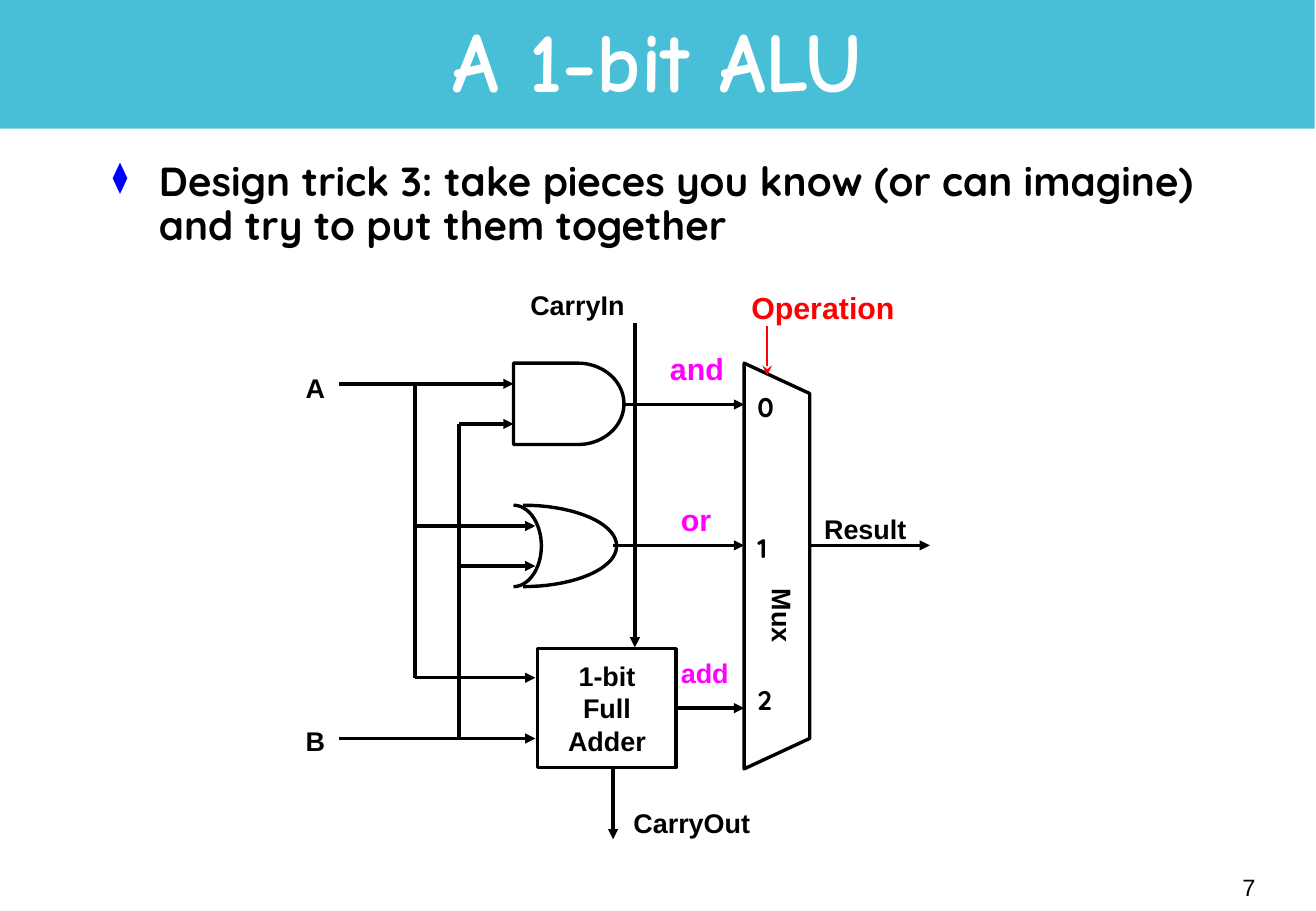
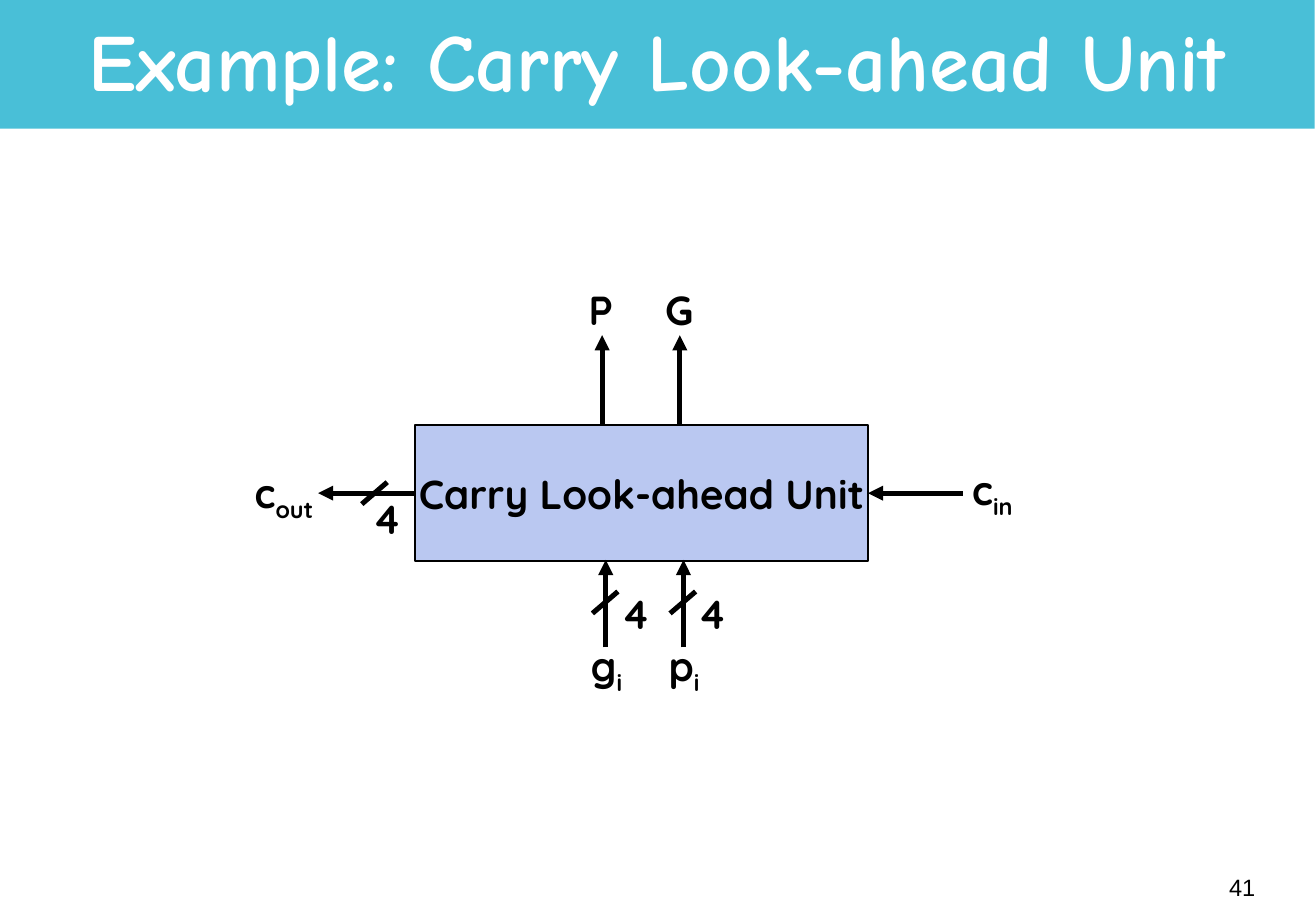
import math

from lxml import etree
from pptx import Presentation
from pptx.dml.color import RGBColor
from pptx.enum import shapes, text
from pptx.oxml import ns
from pptx.util import Pt

PX = 9144  # one px is a hundredth of an inch
BLACK, WHITE, BAND, BLUE = "000000", "FFFFFF", "49BFD7", "0000FF"
UNIT_FILL, MAGENTA, RED = "BAC8F1", "FF00FF", "FF0000"
TITLE_FONT, BODY_FONT, LABEL_FONT = "Comic Neue", "Quicksand", "Arial"
LEFT, CENTER, RIGHT = text.PP_ALIGN.LEFT, text.PP_ALIGN.CENTER, text.PP_ALIGN.RIGHT
color = RGBColor.from_string


def add_box(slide, box, lines=(), size=16, font=LABEL_FONT, ink=BLACK, bold=True,
            align=LEFT, wrap=False, middle=False, subscript="", fill=None, outline=0):
    """Add a text box, or a rectangle when it has a fill or an outline."""
    place = [length * PX for length in box]
    if fill or outline:
        shape = slide.shapes.add_shape(shapes.MSO_SHAPE.RECTANGLE, *place)
        shape.shadow.inherit = False
        shape.fill.background()
        if fill:
            shape.fill.solid()
            shape.fill.fore_color.rgb = color(fill)
        shape.line.fill.background()
        if outline:
            shape.line.color.rgb = color(BLACK)
            shape.line.width = Pt(outline)
    else:
        shape = slide.shapes.add_textbox(*place)
    frame = shape.text_frame
    frame.word_wrap = wrap
    if middle:
        frame.vertical_anchor = text.MSO_ANCHOR.MIDDLE
    elif not wrap:
        frame.auto_size = text.MSO_AUTO_SIZE.SHAPE_TO_FIT_TEXT
    for index, line in enumerate(lines):
        paragraph = frame.add_paragraph() if index else frame.paragraphs[0]
        paragraph.alignment = align
        for words in filter(None, (line, subscript)):
            run = paragraph.add_run()
            run.text = words
            run.font.size, run.font.name, run.font.bold = Pt(size), font, bold
            run.font.color.rgb = color(ink)
        if subscript:
            run._r.get_or_add_rPr().set("baseline", "-25000")
    return shape


def add_line(slide, points, width=2, ink=BLACK, head="triangle"):
    """Add a straight line with its arrowhead, if any, at the last point."""
    connector = slide.shapes.add_connector(
        shapes.MSO_CONNECTOR.STRAIGHT, *[length * PX for length in points])
    connector.line.color.rgb = color(ink)
    connector.line.width = Pt(width)
    if head:
        etree.SubElement(connector.line._get_or_add_ln(), ns.qn("a:tailEnd"), type=head)
    etree.SubElement(connector._element.spPr, ns.qn("a:effectLst"))
    return connector


presentation = Presentation()
presentation.slide_width, presentation.slide_height = 1084 * PX, 750 * PX

# Title band and page number of each slide
for title, left, width, size, number in (
        ("A 1-bit ALU", 81, 921, 50, "7"),
        ("Example: Carry Look-ahead Unit", 0, 1083, 48, "41")):
    slide = presentation.slides.add_slide(presentation.slide_layouts[6])
    add_box(slide, (0, 0, 1083, 106), fill=BAND)
    heading = add_box(slide, (left, 5, width, 99), [title], size, TITLE_FONT, WHITE,
                      align=CENTER, wrap=True, middle=True)
    heading.text_frame.paragraphs[0].line_spacing = 0.85
    add_box(slide, (818, 705, 226, 50), [number], 14, bold=False,
            align=RIGHT, wrap=True, middle=True)
alu_slide, carry_slide = presentation.slides

# 1-bit ALU: bullet
body = add_box(alu_slide, (83, 128, 921, 100),
               ["Design trick 3: take pieces you know (or can imagine) "
                "and try to put them together"], 24, BODY_FONT, wrap=True)
bullet = body.text_frame.paragraphs[0]
bullet.line_spacing = 0.9
properties = bullet._p.get_or_add_pPr()
properties.set("marL", str(38 * PX))
properties.set("indent", str(-38 * PX))
bullet_color = etree.SubElement(properties, ns.qn("a:buClr"))
etree.SubElement(bullet_color, ns.qn("a:srgbClr"), val=BLUE)
etree.SubElement(properties, ns.qn("a:buSzPct"), val="75000")
etree.SubElement(properties, ns.qn("a:buChar"), char="⧫")

# Gates and multiplexer
half_circle = [(math.sin(math.radians(angle)), -math.cos(math.radians(angle)))
               for angle in range(0, 181, 5)]
and_arc, or_front, or_back = (
    [(x + radius * across, y + 33.5 * down) for across, down in half_circle]
    for x, y, radius in ((476, 332.5, 38), (431, 449.5, 77), (423, 449.5, 23)))
and_gate = [(423, 299), *and_arc, (423, 366)]
mux = [(613, 299), (667, 324), (667, 608), (613, 633)]
for outline, closed in ((and_gate, True), (or_front, False), (or_back, False), (mux, True)):
    corners = [(x * PX, y * PX) for x, y in outline]
    builder = alu_slide.shapes.build_freeform(*corners[0])
    builder.add_line_segments(corners[1:], close=closed)
    shape = builder.convert_to_shape()
    shape.shadow.inherit = False
    shape.fill.background()
    shape.line.color.rgb = color(BLACK)
    shape.line.width = Pt(2)

adder = add_box(alu_slide, (443, 534, 114, 98), ["1-bit", "Full", "Adder"],
                align=CENTER, middle=True, outline=2)

# Wires
for wire in (
        (279, 316, 423, 316), (378, 349, 423, 349),  # into the and gate
        (342, 433, 441, 433), (378, 466, 441, 466),  # into the or gate
        (342, 558, 441, 558), (279, 608, 441, 608),  # into the adder
        (514, 333, 613, 333), (505, 449, 613, 449),  # into the multiplexer
        (523, 266, 523, 533), (505, 633, 505, 691),  # carry in and out
        (667, 449, 766, 449)):  # result
    add_line(alu_slide, wire)
add_line(alu_slide, (557, 583, 613, 583)).begin_connect(adder, 3)
for branch in ((342, 316, 342, 558), (378, 349, 378, 608)):
    add_line(alu_slide, branch, head=None)
add_line(alu_slide, (632, 268, 632, 309), 1, RED, "stealth")

# Labels
for label, x, y, width, size, ink in (
        ("A", 242, 301, 36, 16, BLACK), ("B", 242, 592, 36, 16, BLACK),
        ("CarryIn", 427, 233, 98, 16, BLACK), ("CarryOut", 512, 659, 116, 16, BLACK),
        ("Result", 669, 417, 88, 16, BLACK), ("Operation", 609, 233, 138, 18, RED),
        ("and", 542, 283, 65, 18, MAGENTA), ("or", 551, 408, 45, 18, MAGENTA),
        ("add", 551, 536, 60, 16, MAGENTA)):
    add_box(alu_slide, (x, y, width, 37 if size == 16 else 40), [label], size, ink=ink)
add_box(alu_slide, (612, 489, 65, 37), ["Mux"]).rotation = 90
for choice, y in enumerate((317, 433, 558)):
    add_box(alu_slide, (614, y, 36, 37), [str(choice)], font=BODY_FONT, wrap=True)

# Carry look-ahead unit
unit = add_box(carry_slide, (342, 350, 373, 112), ["Carry Look-ahead Unit"], 24, BODY_FONT,
               align=CENTER, middle=True, fill=UNIT_FILL, outline=1)
add_line(carry_slide, (793, 406, 715, 406), 3).end_connect(unit, 3)
add_line(carry_slide, (342, 406, 262, 406), 3).begin_connect(unit, 1)
for x in (496, 560):
    add_line(carry_slide, (x, 349, x, 276), 3)
for x in (499, 563):
    add_line(carry_slide, (x, 533, x, 461), 3)
for x, y in ((309, 406), (499, 496), (563, 496)):
    add_line(carry_slide, (x + 10, y - 9, x - 11, y + 9), 3, head=None)
for label, subscript, x, y, width in (
        ("P", "", 475, 230, 41), ("G", "", 538, 230, 44),
        ("g", "i", 477, 523, 47), ("p", "i", 541, 523, 47),
        ("c", "in", 791, 378, 55), ("c", "out", 200, 380, 70),
        ("4", "", 297, 402, 39), ("4", "", 502, 480, 39), ("4", "", 565, 480, 39)):
    add_box(carry_slide, (x, y, width, 56 if subscript else 50), [label], 24, BODY_FONT,
            subscript=subscript)

presentation.save("out.pptx")
